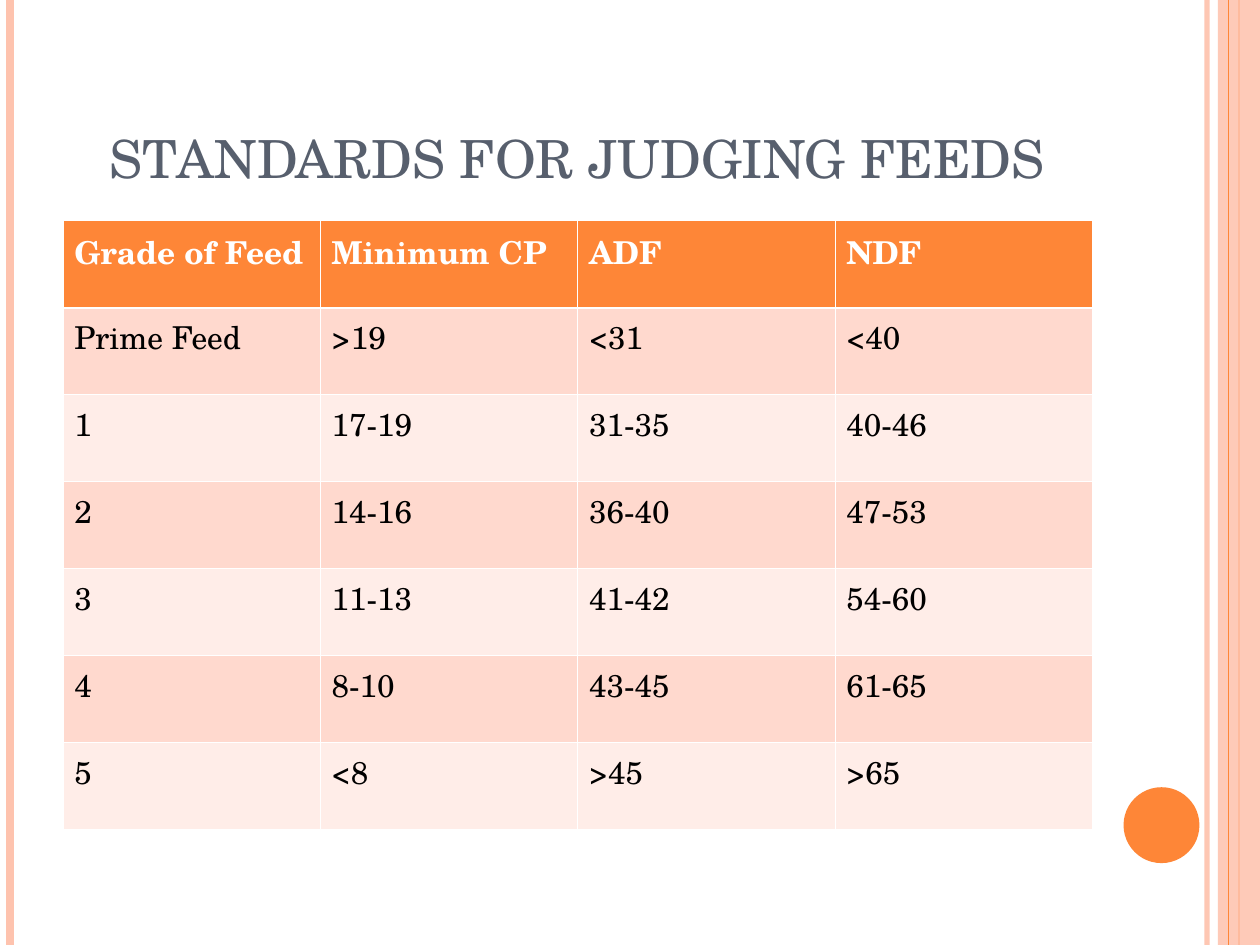
from lxml import etree
from pptx import Presentation
from pptx import util as u
from pptx.dml.color import RGBColor
from pptx.enum import shapes, text
from pptx.oxml.ns import qn

FONT = "TeX Gyre Schola"
COLORS = {
    "orange": "FE8637", "peach": "FEC3AE", "slate": "575F6D",
    "band_dark": "FFD9CE", "band_light": "FFEDE8",
    "white": "FFFFFF", "black": "000000",
}
GRADES = [
    ("Grade of Feed", "Minimum CP", "ADF", "NDF"),
    ("Prime Feed", ">19", "<31", "<40"),
    ("1", "17-19", "31-35", "40-46"),
    ("2", "14-16", "36-40", "47-53"),
    ("3", "11-13", "41-42", "54-60"),
    ("4", "8-10", "43-45", "61-65"),
    ("5", "<8", ">45", ">65"),
]


def rgb(name):
    return RGBColor.from_string(COLORS[name])


def set_all(target, values):
    for key, value in values.items():
        setattr(target, key, value)


def set_alpha(fill, percent):
    """Make the solid colour under a shape's or line's properties translucent."""
    color = fill.find(".//" + qn("a:srgbClr"))
    etree.SubElement(color, qn("a:alpha"), val=str(percent * 1000))


def format_font(font, size, color, bold=False):
    set_all(font, {"name": FONT, "size": u.Pt(size), "bold": bold})
    font.color.rgb = rgb(color)


def add_stripe(slide, x, top, height, color, width, alpha=100):
    stripe = slide.shapes.add_connector(
        shapes.MSO_CONNECTOR.STRAIGHT, u.Cm(x), u.Cm(top), u.Cm(x), u.Cm(top + height))
    stripe.line.width = u.Pt(width)
    stripe.line.color.rgb = rgb(color)
    properties = stripe._element.spPr
    etree.SubElement(properties, qn("a:effectLst"))
    if alpha < 100:
        set_alpha(properties, alpha)


def add_solid(slide, kind, left, top, width, height, color):
    solid = slide.shapes.add_shape(kind, u.Cm(left), u.Cm(top), u.Cm(width), u.Cm(height))
    solid.shadow.inherit = False
    solid.fill.solid()
    solid.fill.fore_color.rgb = rgb(color)
    solid.line.fill.background()
    return solid


def add_frame(slide, left, top, width, height):
    """Side stripes, right-hand band and disc around the slide."""
    right = left + width
    add_stripe(slide, right - 1.07, top, height, "peach", 3, 93)
    add_stripe(slide, left + 0.21, top, height, "peach", 4.5)
    add_stripe(slide, right - 0.42, top, height, "orange", 1.5)
    band = add_solid(slide, shapes.MSO_SHAPE.RECTANGLE,
                     right - 0.85, top, 0.85, height, "peach")
    set_alpha(band._element.spPr, 87)
    add_stripe(slide, right - 0.64, top, height, "orange", 0.75)
    add_solid(slide, shapes.MSO_SHAPE.OVAL,
              right - 2.75, top + height - 3.18, 1.53, 1.53, "orange")


def add_title(slide, left, top, width, height):
    title = slide.shapes.title
    set_all(title, {"left": u.Cm(left), "top": u.Cm(top),
                    "width": u.Cm(width), "height": u.Cm(height)})
    frame = title.text_frame
    frame.text = "STANDARDS FOR JUDGING FEEDS"
    set_all(frame, {"vertical_anchor": text.MSO_ANCHOR.BOTTOM, "word_wrap": True,
                    "auto_size": text.MSO_AUTO_SIZE.NONE})
    heading = frame.paragraphs[0]
    heading.alignment = text.PP_ALIGN.CENTER
    format_font(heading.runs[0].font, 30, "slate")


def set_borders(cell, widths):
    """Draw white cell borders; widths are points by side."""
    properties = cell._tc.get_or_add_tcPr()
    for index, (side, width) in enumerate(widths.items()):
        border = etree.Element(qn("a:" + side), w=str(u.Pt(width)))
        fill = etree.SubElement(border, qn("a:solidFill"))
        etree.SubElement(fill, qn("a:srgbClr"), val=COLORS["white"])
        properties.insert(index, border)


def add_grades_table(slide, left, top, width, height):
    row_count, column_count = len(GRADES), len(GRADES[0])
    grades = slide.shapes.add_table(
        row_count, column_count, u.Cm(left), u.Cm(top), u.Cm(width), u.Cm(height)).table
    for column in grades.columns:
        column.width = u.Cm(width / column_count)
    for row_index, values in enumerate(GRADES):
        grades.rows[row_index].height = u.Cm(height / row_count)
        header = row_index == 0
        band = "band_dark" if row_index % 2 else "band_light"
        borders = {"lnL": 0.45, "lnR": 0.45,
                   "lnT": 1.47 if row_index == 1 else 0.45,
                   "lnB": 1.47 if header else 0.45}
        for column_index, value in enumerate(values):
            cell = grades.cell(row_index, column_index)
            cell.text = value
            set_all(cell, {"margin_left": u.Cm(0.23), "margin_right": u.Cm(0.23),
                           "margin_top": u.Cm(0.13), "margin_bottom": u.Cm(0.13)})
            cell.fill.solid()
            cell.fill.fore_color.rgb = rgb("orange" if header else band)
            set_borders(cell, borders)
            format_font(cell.text_frame.paragraphs[0].runs[0].font, 18,
                        "white" if header else "black", header)


def main():
    deck = Presentation()
    set_all(deck, {"slide_width": u.Cm(25.4), "slide_height": u.Cm(19.05)})
    slide = deck.slides.add_slide(deck.slide_layouts[5])
    add_frame(slide, 0, 0, 25.4, 19.05)
    add_title(slide, 1.27, 0.76, 20.75, 3.18)
    add_grades_table(slide, 1.27, 4.45, 20.75, 12.27)
    deck.save("out.pptx")


if __name__ == "__main__":
    main()
